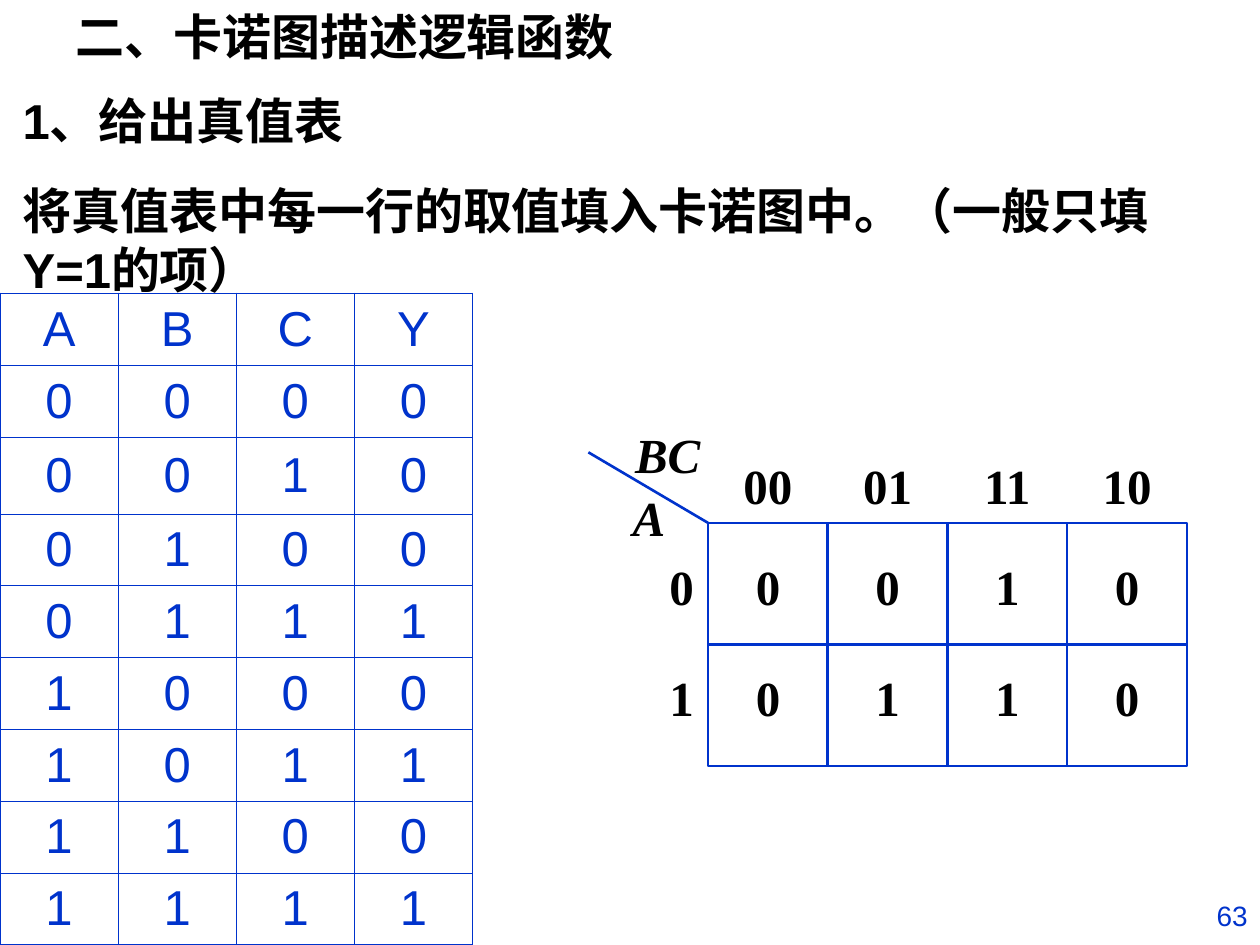
from lxml import etree
from pptx import Presentation
from pptx.dml.color import RGBColor
from pptx.enum.shapes import MSO_CONNECTOR, MSO_SHAPE
from pptx.enum.text import MSO_ANCHOR, MSO_AUTO_SIZE, PP_ALIGN
from pptx.oxml.ns import qn
from pptx.util import Inches, Pt

LEFT, CENTER, RIGHT = PP_ALIGN.LEFT, PP_ALIGN.CENTER, PP_ALIGN.RIGHT
TOP, MIDDLE = MSO_ANCHOR.TOP, MSO_ANCHOR.MIDDLE
STRAIGHT = MSO_CONNECTOR.STRAIGHT
BLACK, BLUE = "000000", "0033CC"
SANS, SERIF = "Arial", "Times New Roman"

TITLE = "二、卡诺图描述逻辑函数"
BODY = ["1、给出真值表",
        "将真值表中每一行的取值填入卡诺图中。（一般只填Y=1的项）"]
TRUTH_TABLE = ["ABCY", "0000", "0010", "0100", "0111",
               "1000", "1011", "1100", "1111"]
MAP_COLUMNS = ["00", "01", "11", "10"]
MAP_ROWS = ["0", "1"]
MAP_VALUES = ["0010", "0110"]
PAGE_NUMBER = "63"

# Table and map grids, in inches
TABLE_TOP, TABLE_WIDTH = 2.33, 3.75
ROW_HEIGHT, TALL_ROW, TALL_ROW_HEIGHT = 0.57, 2, 0.61
MAP_LEFT, MAP_TOP, MAP_CELL, MAP_HEIGHT = 5.62, 4.15, 0.95, 1.93
LABEL_HEIGHT, VALUE_TOP, VALUE_PITCH = 0.42, 4.47, 0.88


def color(hex_text):
    return RGBColor.from_string(hex_text)


def format_text(frame, font_name, hex_text, align, size=28, bold=False, italic=False):
    for paragraph in frame.paragraphs:
        paragraph.alignment = align
        paragraph.space_before = Pt(0)
        for run in paragraph.runs:
            font = run.font
            font.name, font.size = font_name, Pt(size)
            font.bold, font.italic = bold, italic
            font.color.rgb = color(hex_text)


def place(shape, left, top, width, height):
    shape.left, shape.top = Inches(left), Inches(top)
    shape.width, shape.height = Inches(width), Inches(height)


def fill_placeholder(shape, text, box):
    place(shape, *box)
    frame = shape.text_frame
    frame.text = text
    frame.auto_size = MSO_AUTO_SIZE.NONE
    frame.vertical_anchor = TOP
    format_text(frame, SANS, BLACK, LEFT, bold=True)
    return frame


def add_body(slide):
    frame = fill_placeholder(slide.placeholders[1], "\n".join(BODY),
                             (0.08, 0.67, 9.58, 1.75))
    for paragraph in frame.paragraphs:
        properties = paragraph._p.get_or_add_pPr()
        properties.set("marL", "0")
        properties.set("indent", "0")
        etree.SubElement(properties, qn("a:buNone"))
    frame.paragraphs[1].space_before = Pt(17.5)


def add_border(cell, side, width):
    line = etree.SubElement(cell._tc.get_or_add_tcPr(), qn(f"a:ln{side}"),
                            w=str(Pt(width)))
    fill = etree.SubElement(line, qn("a:solidFill"))
    etree.SubElement(fill, qn("a:srgbClr"), val=BLUE)


def add_truth_table(slide):
    row_count, column_count = len(TRUTH_TABLE), len(TRUTH_TABLE[0])
    table = slide.shapes.add_table(
        row_count, column_count, 0, Inches(TABLE_TOP), Inches(TABLE_WIDTH),
        Inches(ROW_HEIGHT * row_count)).table
    table.first_row = table.horz_banding = False
    for column in table.columns:
        column.width = Inches(TABLE_WIDTH / column_count)
    for r, values in enumerate(TRUTH_TABLE):
        table.rows[r].height = Inches(TALL_ROW_HEIGHT if r == TALL_ROW else ROW_HEIGHT)
        for c, value in enumerate(values):
            cell = table.cell(r, c)
            cell.text = value
            cell.vertical_anchor = MIDDLE
            format_text(cell.text_frame, SANS, BLUE, CENTER)
            outer_edges = {"L": c == 0, "R": c == column_count - 1,
                           "T": r == 0, "B": r == row_count - 1}
            for side, is_outer in outer_edges.items():
                add_border(cell, side, 1.08 if is_outer else 0.45)
            cell.fill.background()


def add_line(shapes, x1, y1, x2, y2):
    line = shapes.add_connector(STRAIGHT, Inches(x1), Inches(y1), Inches(x2), Inches(y2))
    line.line.color.rgb = color(BLUE)
    line.line.width = Pt(1.5)
    etree.SubElement(line._element.spPr, qn("a:effectLst"))


def add_label(shapes, text, center, top, width, italic=False):
    box = shapes.add_textbox(Inches(center - width / 2), Inches(top),
                             Inches(width), Inches(LABEL_HEIGHT))
    frame = box.text_frame
    frame.margin_left = frame.margin_right = frame.margin_top = frame.margin_bottom = 0
    frame.word_wrap = True
    frame.text = text
    format_text(frame, SERIF, BLACK, CENTER, bold=True, italic=italic)
    frame.paragraphs[0].line_spacing = 0.9


def add_karnaugh_map(slide):
    shapes = slide.shapes.add_group_shape().shapes
    width = MAP_CELL * len(MAP_COLUMNS)
    right, bottom = MAP_LEFT + width, MAP_TOP + MAP_HEIGHT
    middle = MAP_TOP + MAP_HEIGHT / 2

    outline = shapes.add_shape(MSO_SHAPE.RECTANGLE, Inches(MAP_LEFT), Inches(MAP_TOP),
                               Inches(width), Inches(MAP_HEIGHT))
    outline.shadow.inherit = False
    outline.fill.background()
    outline.line.color.rgb = color(BLUE)
    outline.line.width = Pt(1.5)

    add_line(shapes, MAP_LEFT, middle, right, middle)
    for c in range(1, len(MAP_COLUMNS)):
        x = MAP_LEFT + c * MAP_CELL
        add_line(shapes, x, MAP_TOP, x, bottom)
    add_line(shapes, MAP_LEFT, MAP_TOP, MAP_LEFT - MAP_CELL, 3.59)

    centers = [MAP_LEFT + (c + 0.5) * MAP_CELL for c in range(len(MAP_COLUMNS))]
    for center, heading in zip(centers, MAP_COLUMNS):
        add_label(shapes, heading, center, 3.67, 0.47)
    for r, (heading, values) in enumerate(zip(MAP_ROWS, MAP_VALUES)):
        top = VALUE_TOP + r * VALUE_PITCH
        add_label(shapes, heading, 5.41, top, 0.32)
        for center, value in zip(centers, values):
            add_label(shapes, value, center, top, 0.32)
    add_label(shapes, "BC", 5.3, 3.42, 0.63, italic=True)
    add_label(shapes, "A", 5.15, 3.92, 0.47, italic=True)


def add_page_number(slide):
    box = slide.shapes.add_textbox(Inches(7.5), Inches(7.08), Inches(2.5), Inches(0.42))
    box.text_frame.word_wrap = True
    box.text_frame.text = PAGE_NUMBER
    format_text(box.text_frame, SANS, BLUE, RIGHT, size=16)


def main():
    presentation = Presentation()
    presentation.slide_width, presentation.slide_height = Inches(10), Inches(7.5)
    slide = presentation.slides.add_slide(presentation.slide_layouts[1])
    fill_placeholder(slide.shapes.title, TITLE, (0.5, 0, 6, 0.57))
    add_body(slide)
    add_truth_table(slide)
    add_karnaugh_map(slide)
    add_page_number(slide)
    presentation.save("out.pptx")


if __name__ == "__main__":
    main()
